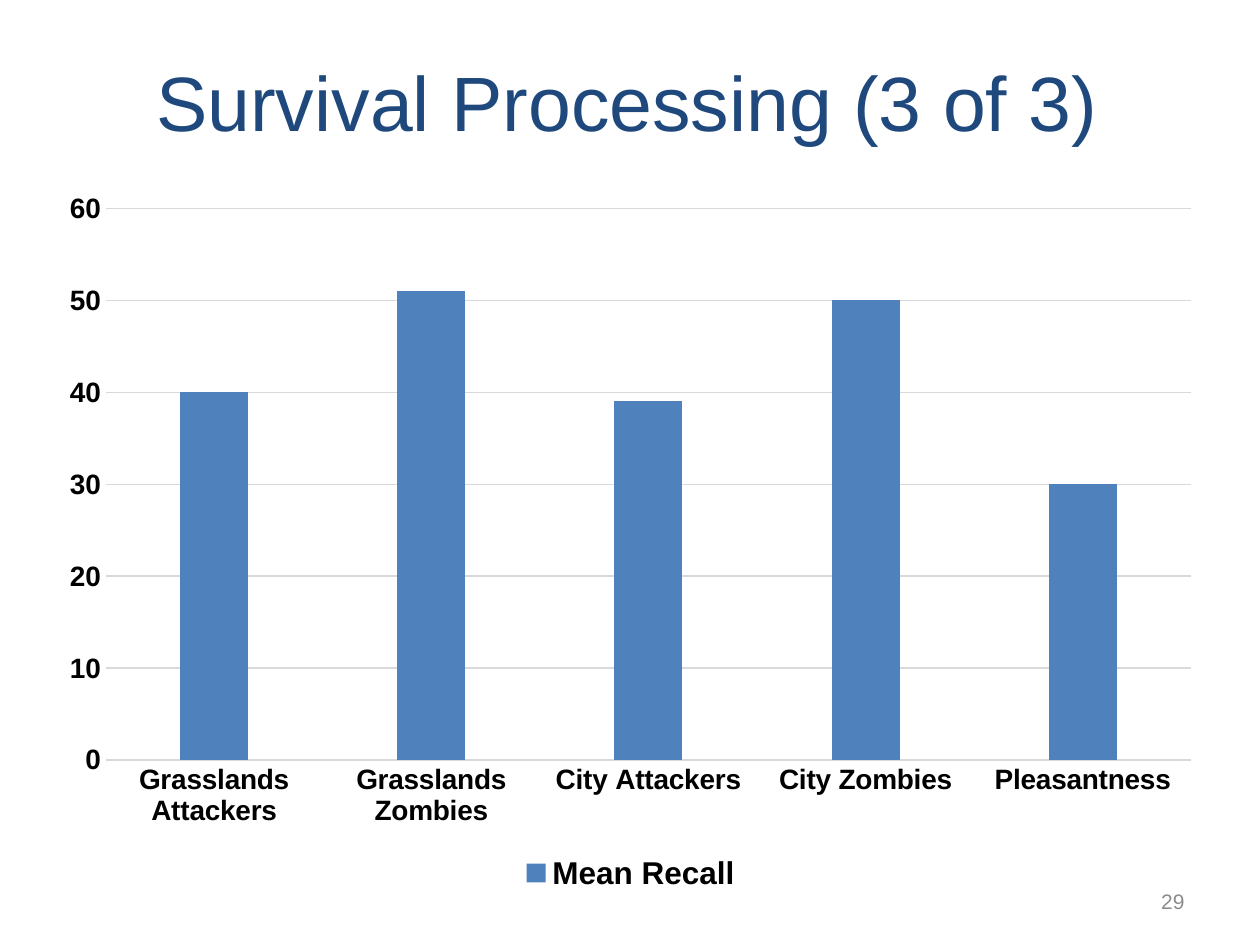
import pptx
import pptx.util
import pptx.chart.data
import pptx.dml.color
import pptx.enum.chart
import pptx.enum.text

Inches, Pt = pptx.util.Inches, pptx.util.Pt
RGB = pptx.dml.color.RGBColor
ALIGN = pptx.enum.text.PP_ALIGN
ENUM = pptx.enum.chart

# Content
TITLE = "Survival Processing (3 of 3)"
PAGE = "29"
SERIES = "Mean Recall"
RECALL = {
    "Grasslands Attackers": 40,
    "Grasslands Zombies": 51,
    "City Attackers": 39,
    "City Zombies": 50,
    "Pleasantness": 30,
}

# Style
FACE = "Arial"
NAVY = RGB(0x1F, 0x49, 0x7D)
BLUE = RGB(0x4F, 0x81, 0xBD)
GREY = RGB(0x8C, 0x8C, 0x8C)
PALE = RGB(0xD9, 0xD9, 0xD9)
BLACK = RGB(0, 0, 0)


def style(font, size, color, bold=False):
    font.name, font.size, font.bold = FACE, Pt(size), bold
    font.color.rgb = color


def rule(line):
    line.color.rgb = PALE
    line.width = Pt(0.75)


def label(slide, text, area, size, color, align):
    frame = slide.shapes.add_textbox(*map(Inches, area)).text_frame
    frame.word_wrap = True
    frame.vertical_anchor = pptx.enum.text.MSO_ANCHOR.MIDDLE
    para = frame.paragraphs[0]
    para.text = text
    para.alignment = align
    style(para.font, size, color)


def draw(slide, area):
    data = pptx.chart.data.CategoryChartData()
    data.categories = list(RECALL)
    data.add_series(SERIES, list(RECALL.values()))
    kind = ENUM.XL_CHART_TYPE.COLUMN_CLUSTERED
    chart = slide.shapes.add_chart(kind, *map(Inches, area), data).chart
    chart.has_title = False
    style(chart.font, 10, BLACK)

    # Columns
    plot = chart.plots[0]
    plot.gap_width, plot.overlap = 219, -27
    plot.vary_by_categories = False
    fill = plot.series[0].format.fill
    fill.solid()
    fill.fore_color.rgb = BLUE

    # Axes
    for axis in (chart.category_axis, chart.value_axis):
        axis.major_tick_mark = axis.minor_tick_mark = ENUM.XL_TICK_MARK.NONE
        style(axis.tick_labels.font, 16, BLACK, True)
    rule(chart.category_axis.format.line)
    scale = chart.value_axis
    scale.minimum_scale, scale.maximum_scale, scale.major_unit = 0, 60, 10
    scale.format.line.fill.background()
    rule(scale.major_gridlines.format.line)

    # Legend
    chart.has_legend = True
    chart.legend.position = ENUM.XL_LEGEND_POSITION.BOTTOM
    chart.legend.include_in_layout = False
    style(chart.legend.font, 18, BLACK, True)


def main():
    deck = pptx.Presentation()
    deck.slide_width, deck.slide_height = Inches(10), Inches(7.5)
    slide = deck.slides.add_slide(deck.slide_layouts[6])
    label(slide, TITLE, (0.48, 0.17, 9, 1.25), 44, NAVY, ALIGN.CENTER)
    label(slide, PAGE, (9, 6.95, 0.5, 0.4), 12, GREY, ALIGN.RIGHT)
    draw(slide, (0.37, 1.42, 9.27, 5.7))
    deck.save("out.pptx")


if __name__ == "__main__":
    main()
